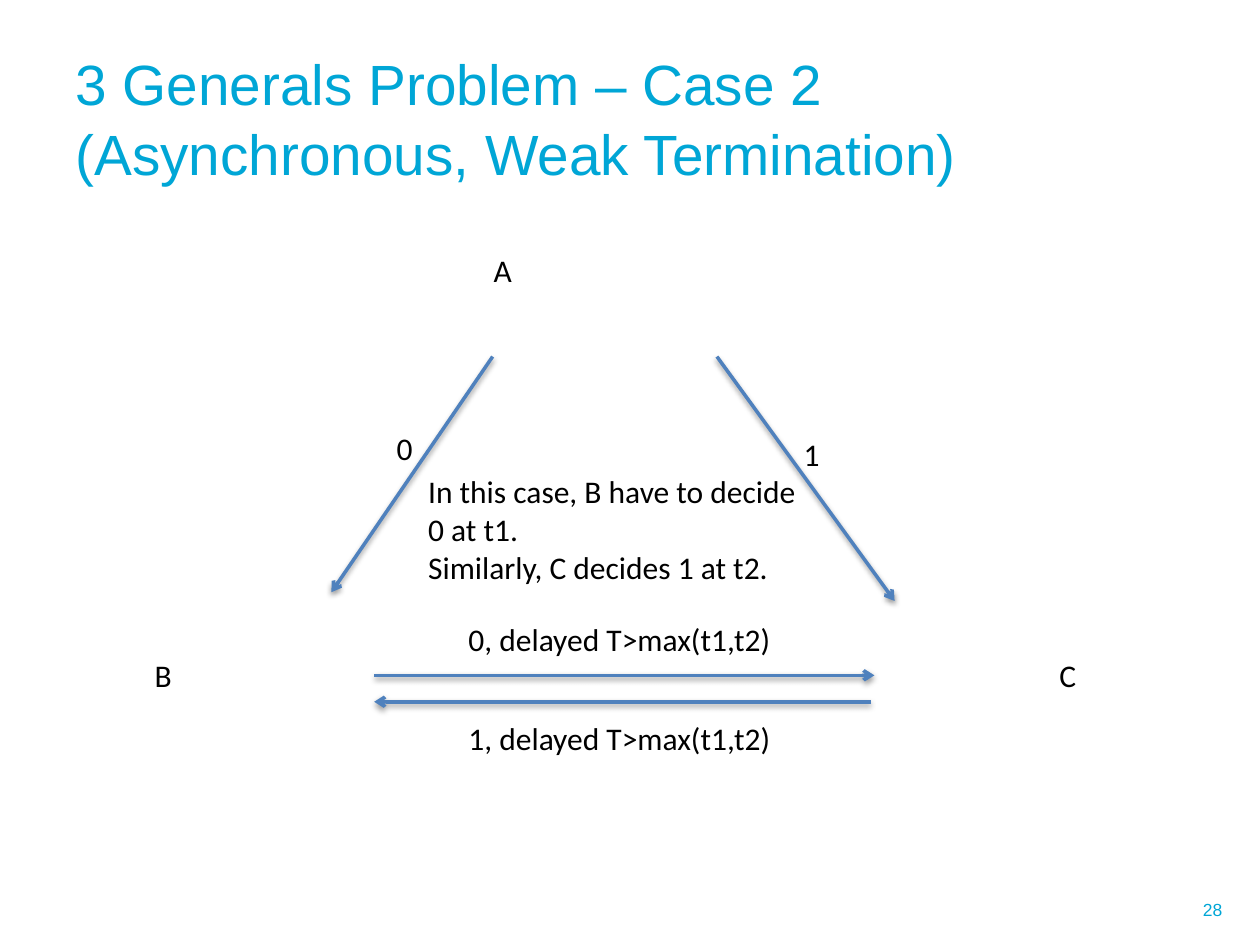
from lxml import etree
from pptx import Presentation
from pptx.dml.color import RGBColor
from pptx.enum.shapes import MSO_CONNECTOR
from pptx.enum.text import MSO_ANCHOR, MSO_AUTO_SIZE, PP_ALIGN
from pptx.oxml.ns import qn
from pptx.util import Inches, Pt

STRAIGHT = MSO_CONNECTOR.STRAIGHT
TOP, MIDDLE = MSO_ANCHOR.TOP, MSO_ANCHOR.MIDDLE
NO_FIT, GROW = MSO_AUTO_SIZE.NONE, MSO_AUTO_SIZE.SHAPE_TO_FIT_TEXT
LEFT, RIGHT = PP_ALIGN.LEFT, PP_ALIGN.RIGHT

CYAN = RGBColor(0x00, 0xA6, 0xD6)
BLUE = RGBColor(0x4F, 0x81, 0xBD)
BLACK = RGBColor(0x00, 0x00, 0x00)

COLUMNS, ROWS = 100, 75
TITLE_FONT = {"name": "Arial", "size": Pt(32.4), "color": CYAN}
NUMBER_FONT = {"name": "Arial", "size": Pt(10), "color": CYAN}
BODY_FONT = {"name": "Calibri", "size": Pt(18), "color": BLACK}


class Diagram:
    def __init__(self):
        self.deck = Presentation()
        self.deck.slide_width, self.deck.slide_height = Inches(10), Inches(7.5)
        self.slide = self.deck.slides.add_slide(self.deck.slide_layouts[5])

    def grid(self, *cells):
        units = (self.deck.slide_width / COLUMNS, self.deck.slide_height / ROWS)
        return [round(cell * units[i % 2]) for i, cell in enumerate(cells)]

    def style(self, font, values):
        for key, value in values.items():
            if key == "color":
                font.color.rgb = value
            else:
                setattr(font, key, value)

    def title(self, lines, area):
        heading = self.slide.shapes.title
        heading.left, heading.top, heading.width, heading.height = self.grid(*area)
        frame = heading.text_frame
        frame.auto_size, frame.vertical_anchor = NO_FIT, MIDDLE
        paragraph = frame.paragraphs[0]
        paragraph.alignment, paragraph.line_spacing = LEFT, 1.04
        for index, line in enumerate(lines):
            if index:
                paragraph.add_line_break()
            run = paragraph.add_run()
            run.text = line
            self.style(run.font, TITLE_FONT)

    def text(self, lines, area, values=BODY_FONT, align=LEFT, anchor=TOP, fit=GROW):
        frame = self.slide.shapes.add_textbox(*self.grid(*area)).text_frame
        frame.word_wrap, frame.auto_size, frame.vertical_anchor = True, fit, anchor
        for index, line in enumerate(lines):
            paragraph = frame.add_paragraph() if index else frame.paragraphs[0]
            paragraph.alignment = align
            run = paragraph.add_run()
            run.text = line
            self.style(run.font, values)

    def arrow(self, start, end):
        message = self.slide.shapes.add_connector(STRAIGHT, *self.grid(*start, *end))
        message.line.color.rgb, message.line.width = BLUE, Pt(2)
        outline = message.line._get_or_add_ln()
        etree.SubElement(outline, qn("a:tailEnd"), type="arrow")
        effects = etree.SubElement(outline.getparent(), qn("a:effectLst"))
        shadow = etree.SubElement(effects, qn("a:outerShdw"), blurRad=str(Pt(3.1)),
                                  dist=str(Pt(1.6)), dir="5400000", rotWithShape="0")
        shade = etree.SubElement(shadow, qn("a:srgbClr"), val=str(BLACK))
        etree.SubElement(shade, qn("a:alpha"), val="38000")


def main():
    diagram = Diagram()
    diagram.title(["3 Generals Problem – Case 2 ", "(Asynchronous, Weak Termination)"],
                  (5, 3, 91.4, 12.5))
    diagram.text(["28"], (72.7, 70.2, 25.3, 4), NUMBER_FONT, RIGHT, MIDDLE, NO_FIT)

    messages = [
        ((39.1, 28.3), (26.3, 47)),
        ((56.9, 28.3), (71, 47.7)),
        ((69.1, 55.7), (29.7, 55.7)),
        ((29.7, 53.6), (69.4, 53.6)),
    ]
    for start, end in messages:
        diagram.arrow(start, end)

    labels = [
        ("A", 38.2, 19.4, 6.4),
        ("B", 11.3, 51.6, 6.4),
        ("C", 83.1, 51.6, 6.4),
        ("0", 30.5, 33.6, 2.2),
        ("1", 62.8, 34, 2.2),
        ("0, delayed T>max(t1,t2)", 36.2, 48.7, 27.7),
        ("1, delayed T>max(t1,t2)", 36.2, 56.6, 26.6),
    ]
    for label, column, row, width in labels:
        diagram.text([label], (column, row, width, 4))

    diagram.text(["In this case, B have to decide 0 at t1.", "Similarly, C decides 1 at t2."],
                 (33, 37, 31.3, 10.1))
    diagram.deck.save("out.pptx")


if __name__ == "__main__":
    main()
